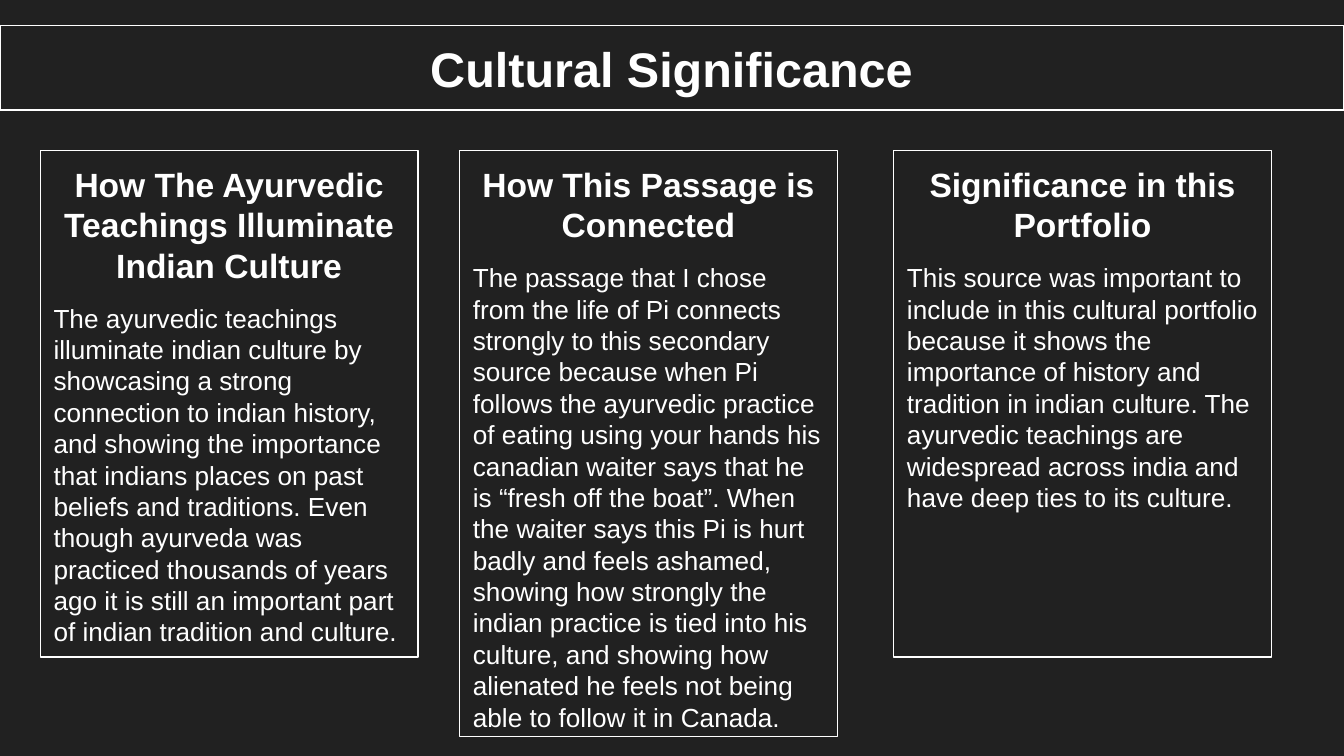
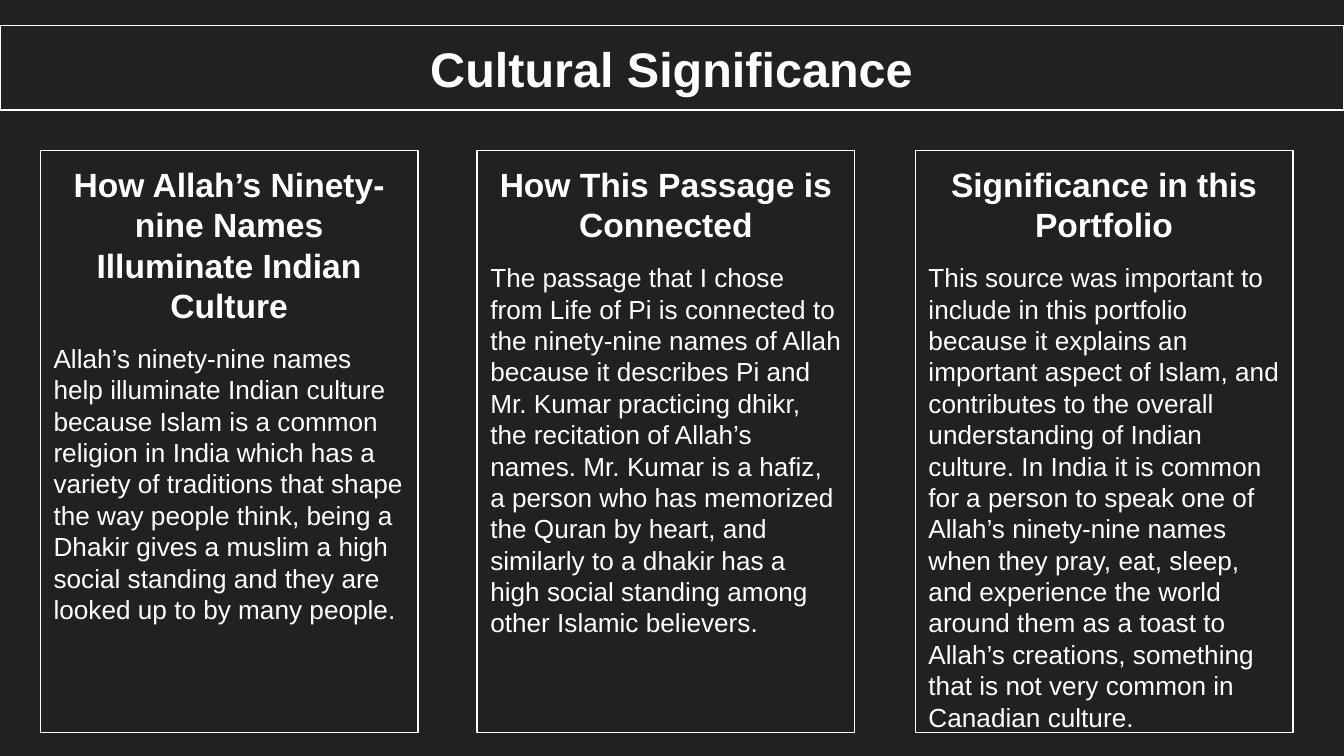
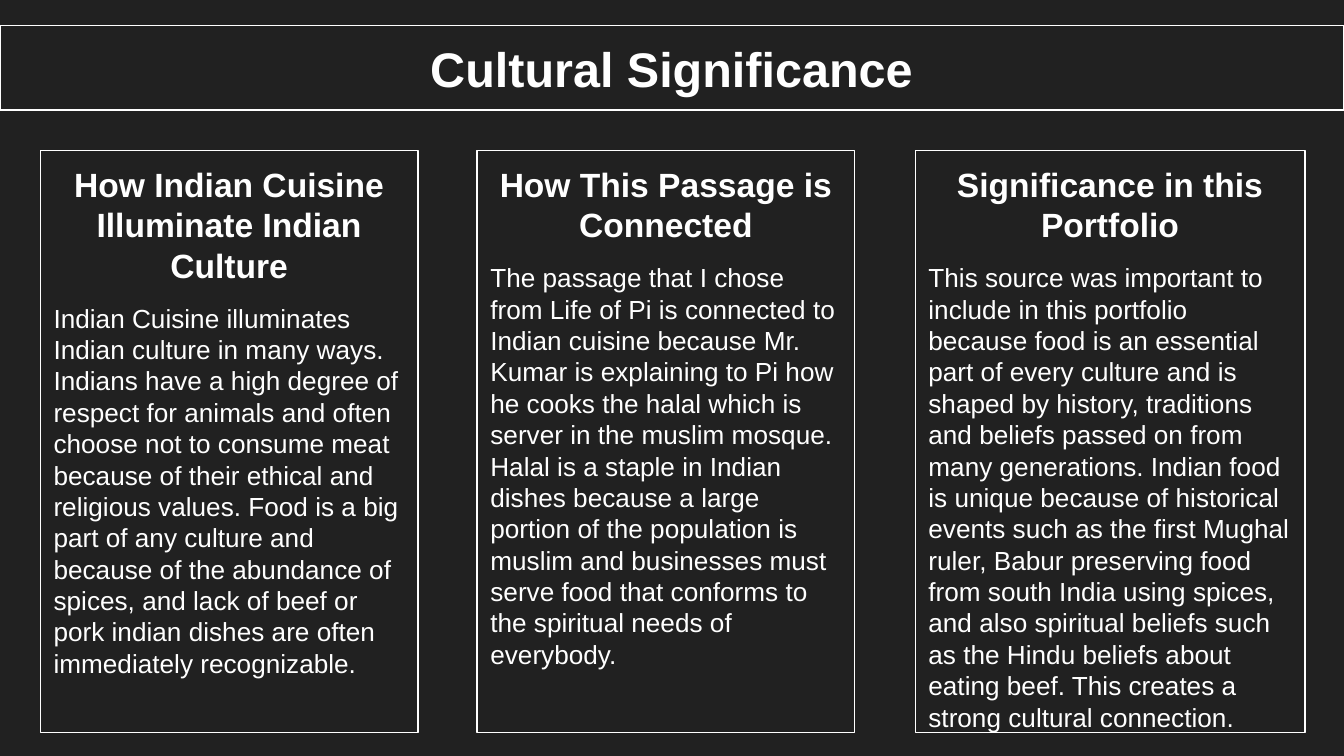
from dataclasses import dataclass

from pptx import Presentation
from pptx.dml.color import RGBColor
from pptx.enum.text import MSO_ANCHOR, MSO_AUTO_SIZE, PP_ALIGN
from pptx.util import Inches, Pt

BACKGROUND = RGBColor(0x21, 0x21, 0x21)
WHITE = RGBColor(0xFF, 0xFF, 0xFF)
FONT_NAME = "Arial"
TITLE = "Cultural Significance"
CONNECTION_HEADING = "How This Passage is Connected"
PORTFOLIO_HEADING = "Significance in this Portfolio"

SLIDE_WIDTH = Inches(10)
SLIDE_HEIGHT = SLIDE_WIDTH * 9 // 16
COLUMN_TOP = Inches(1.12)
COLUMN_WIDTH = Inches(2.81)
SHORT_COLUMN = Inches(3.77)
TALL_COLUMN = Inches(4.33)
EVEN_LEFTS = (Inches(0.3), Inches(3.55), Inches(6.81))


@dataclass(frozen=True)
class Column:
    left: int
    heading: str
    body: str
    height: int = TALL_COLUMN
    width: int = COLUMN_WIDTH


SLIDES = (
    (
        Column(
            Inches(0.3),
            "How The Ayurvedic Teachings Illuminate Indian Culture",
            "The ayurvedic teachings illuminate indian culture by showcasing a strong "
            "connection to indian history, and showing the importance that indians places "
            "on past beliefs and traditions. Even though ayurveda was practiced thousands "
            "of years ago it is still an important part of indian tradition and culture.",
            height=SHORT_COLUMN,
        ),
        Column(
            Inches(3.42),
            CONNECTION_HEADING,
            "The passage that I chose from the life of Pi connects strongly to this "
            "secondary source because when Pi follows the ayurvedic practice of eating "
            "using your hands his canadian waiter says that he is “fresh off the boat”. "
            "When the waiter says this Pi is hurt badly and feels ashamed, showing how "
            "strongly the indian practice is tied into his culture, and showing how "
            "alienated he feels not being able to follow it in Canada.",
            height=Inches(4.36),
        ),
        Column(
            Inches(6.65),
            PORTFOLIO_HEADING,
            "This source was important to include in this cultural portfolio because it "
            "shows the importance of history and tradition in indian culture. The "
            "ayurvedic teachings are widespread across india and have deep ties to its "
            "culture.",
            height=SHORT_COLUMN,
        ),
    ),
    (
        Column(
            EVEN_LEFTS[0],
            "How Allah’s Ninety-nine Names Illuminate Indian Culture",
            "Allah’s ninety-nine names help illuminate Indian culture because Islam is a "
            "common religion in India which has a variety of traditions that shape the way "
            "people think, being a Dhakir gives a muslim a high social standing and they "
            "are looked up to by many people.",
        ),
        Column(
            EVEN_LEFTS[1],
            CONNECTION_HEADING,
            "The passage that I chose from Life of Pi is connected to the ninety-nine "
            "names of Allah because it describes Pi and Mr. Kumar practicing dhikr, the "
            "recitation of Allah’s names. Mr. Kumar is a hafiz, a person who has memorized "
            "the Quran by heart, and similarly to a dhakir has a high social standing "
            "among other Islamic believers.",
        ),
        Column(
            EVEN_LEFTS[2],
            PORTFOLIO_HEADING,
            "This source was important to include in this portfolio because it explains an "
            "important aspect of Islam, and contributes to the overall understanding of "
            "Indian culture. In India it is common for a person to speak one of Allah’s "
            "ninety-nine names when they pray, eat, sleep, and experience the world around "
            "them as a toast to Allah’s creations, something that is not very common in "
            "Canadian culture.",
        ),
    ),
    (
        Column(
            EVEN_LEFTS[0],
            "How Indian Cuisine Illuminate Indian Culture",
            "Indian Cuisine illuminates Indian culture in many ways. Indians have a high "
            "degree of respect for animals and often choose not to consume meat because of "
            "their ethical and religious values. Food is a big part of any culture and "
            "because of the abundance of spices, and lack of beef or pork indian dishes "
            "are often immediately recognizable.",
        ),
        Column(
            EVEN_LEFTS[1],
            CONNECTION_HEADING,
            "The passage that I chose from Life of Pi is connected to Indian cuisine "
            "because Mr. Kumar is explaining to Pi how he cooks the halal which is server "
            "in the muslim mosque. Halal is a staple in Indian dishes because a large "
            "portion of the population is muslim and businesses must serve food that "
            "conforms to the spiritual needs of everybody.",
        ),
        Column(
            EVEN_LEFTS[2],
            PORTFOLIO_HEADING,
            "This source was important to include in this portfolio because food is an "
            "essential part of every culture and is shaped by history, traditions and "
            "beliefs passed on from many generations. Indian food is unique because of "
            "historical events such as the first Mughal ruler, Babur preserving food from "
            "south India using spices, and also spiritual beliefs such as the Hindu "
            "beliefs about eating beef. This creates a strong cultural connection.",
            width=Inches(2.9),
        ),
    ),
)


def format_frame(shape) -> None:
    shape.line.color.rgb = WHITE
    shape.line.width = Pt(0.75)
    frame = shape.text_frame
    frame.word_wrap = True
    frame.auto_size = MSO_AUTO_SIZE.NONE
    frame.vertical_anchor = MSO_ANCHOR.TOP
    frame.margin_left = frame.margin_right = Inches(0.1)
    frame.margin_top = frame.margin_bottom = Inches(0.1)


def format_paragraph(
    paragraph,
    size: int,
    bold: bool,
    alignment: PP_ALIGN,
    space_before: float = 0,
) -> None:
    paragraph.alignment = alignment
    paragraph.line_spacing = 1.0
    paragraph.space_before = Pt(space_before)
    font = paragraph.font
    font.name = FONT_NAME
    font.size = Pt(size)
    font.bold = bold
    font.color.rgb = WHITE


def format_title(title) -> None:
    title.left, title.top = Inches(0), Inches(0.19)
    title.width, title.height = SLIDE_WIDTH, Inches(0.63)
    title.text_frame.text = TITLE
    format_frame(title)
    format_paragraph(title.text_frame.paragraphs[0], 26, True, PP_ALIGN.CENTER)


def add_column(slide, column: Column) -> None:
    shape = slide.shapes.add_textbox(
        column.left, COLUMN_TOP, column.width, column.height
    )
    format_frame(shape)
    heading = shape.text_frame.paragraphs[0]
    heading.text = column.heading
    format_paragraph(heading, 18, True, PP_ALIGN.CENTER)
    body = shape.text_frame.add_paragraph()
    body.text = column.body
    format_paragraph(body, 14, False, PP_ALIGN.LEFT, space_before=9.2)


def main() -> None:
    presentation = Presentation()
    presentation.slide_width = SLIDE_WIDTH
    presentation.slide_height = SLIDE_HEIGHT
    background = presentation.slide_master.background.fill
    background.solid()
    background.fore_color.rgb = BACKGROUND
    title_only = presentation.slide_layouts.get_by_name("Title Only")
    for columns in SLIDES:
        slide = presentation.slides.add_slide(title_only)
        format_title(slide.shapes.title)
        for column in columns:
            add_column(slide, column)
    presentation.save("out.pptx")


if __name__ == "__main__":
    main()
